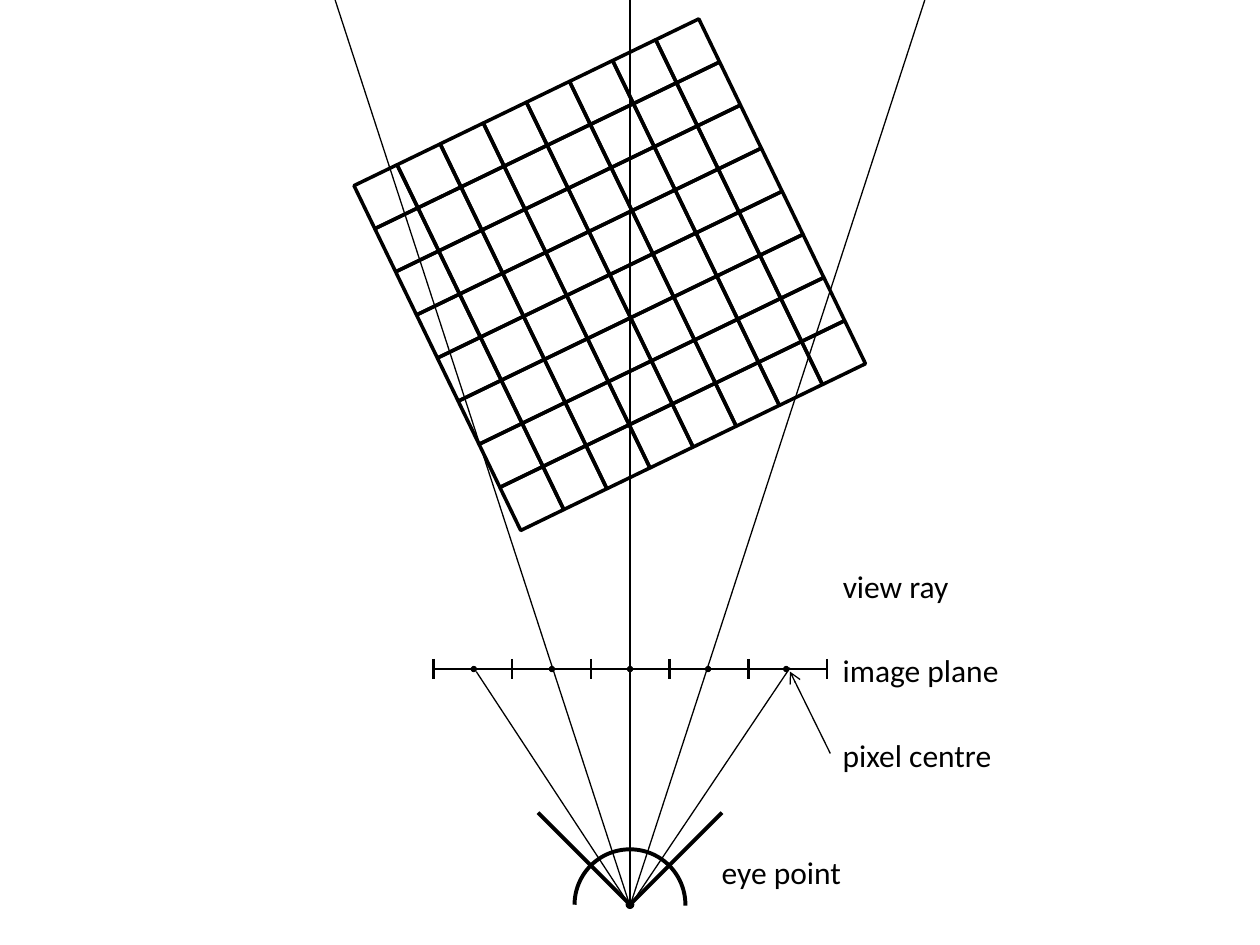
import math
import pptx
import pptx.util
import pptx.dml.color
import pptx.enum.shapes
import pptx.enum.text
import pptx.oxml
import pptx.oxml.ns
from lxml import etree

Inches = pptx.util.Inches
Pt = pptx.util.Pt
SHAPE = pptx.enum.shapes.MSO_SHAPE
STRAIGHT = pptx.enum.shapes.MSO_CONNECTOR.STRAIGHT
BLACK = "000000"


def color(value):
    return pptx.dml.color.RGBColor.from_string(value)


def add_line(shapes, x1, y1, x2, y2, width, arrow=False):
    cn = shapes.add_connector(STRAIGHT, Inches(x1), Inches(y1), Inches(x2), Inches(y2))
    cn.line.color.rgb = color(BLACK)
    cn.line.width = Pt(width)
    if arrow:
        tail = etree.SubElement(cn.line._get_or_add_ln(), pptx.oxml.ns.qn("a:tailEnd"))
        tail.set("type", "arrow")
    etree.SubElement(cn._element.spPr, pptx.oxml.ns.qn("a:effectLst"))


def add_outline(shapes, kind, x, y, size, rotation, width):
    sp = shapes.add_shape(kind, Inches(x), Inches(y), Inches(size), Inches(size))
    sp.shadow.inherit = False
    sp.rotation = rotation
    sp.fill.background()
    sp.line.color.rgb = color(BLACK)
    sp.line.width = Pt(width)
    return sp


def add_dot(shapes, cx, cy, size):
    sp = shapes.add_shape(SHAPE.OVAL, Inches(cx - size / 2), Inches(cy - size / 2),
                          Inches(size), Inches(size))
    sp.shadow.inherit = False
    sp.fill.solid()
    sp.fill.fore_color.rgb = color(BLACK)
    sp.line.fill.background()


def add_label(shapes, text, x, y, width):
    tb = shapes.add_textbox(Inches(x), Inches(y), Inches(width), Inches(0.4))
    tf = tb.text_frame
    tf.word_wrap = False
    tf.auto_size = pptx.enum.text.MSO_AUTO_SIZE.SHAPE_TO_FIT_TEXT
    p = tf.paragraphs[0]
    p.text = text
    p.font.name = "Calibri"
    p.font.size = Pt(18)
    p.font.color.rgb = color(BLACK)


def add_voxel_grid(s, cx, cy, cell, count, rotation):
    shapes = s.shapes.add_group_shape().shapes
    dx = cell * math.cos(math.radians(rotation))
    dy = cell * math.sin(math.radians(rotation))
    middle = (count - 1) / 2
    for row in range(count):
        for col in range(count):
            u, v = col - middle, row - middle
            x = cx + u * dx - v * dy
            y = cy + u * dy + v * dx
            add_outline(shapes, SHAPE.RECTANGLE, x - cell / 2, y - cell / 2,
                        cell, rotation, 2)


def add_eye(s, cx, cy):
    shapes = s.shapes.add_group_shape().shapes
    arc = add_outline(shapes, SHAPE.ARC, cx - 0.44, cy - 0.44, 0.88, 270, 2.25)
    arc.adjustments[0] = 162
    arc.adjustments[1] = 54.63
    add_dot(shapes, cx, cy, 0.07)
    for side in (-1, 1):
        add_line(shapes, cx + side * 0.73, cy - 0.73, cx, cy, 2.25)


def add_view_rays(s, cx, cy):
    for x, y in ((3.78, 5.33), (2.66, 0), (5, 0), (7.34, 0), (6.27, 5.3)):
        add_line(s.shapes, cx, cy, x, y, 0.75)


def add_image_plane(s, x, y, pixel, count):
    for i in range(count + 1):
        left = x + i * pixel
        add_line(s.shapes, left, y - 0.08, left, y + 0.08, 1.5)
        if i < count:
            add_line(s.shapes, left, y, left + pixel, y, 1.5)
            add_dot(s.shapes, 5 + (i - count // 2) * 0.62, y, 0.05)


def add_labels(s, x, y):
    for i, (text, width) in enumerate((("view ray", 1.05), ("image plane", 1.46),
                                       ("pixel centre", 1.4))):
        add_label(s.shapes, text, x, y + i * 0.67, width)
    add_line(s.shapes, x, y + 1.53, x - 0.32, y + 0.88, 0.75, arrow=True)
    add_label(s.shapes, "eye point", x - 0.96, y + 2.27, 1.16)


prs = pptx.Presentation()
prs.slide_width = Inches(10)
prs.slide_height = Inches(7.5)
s = prs.slides.add_slide(prs.slide_layouts[6])
add_voxel_grid(s, 4.84, 2.18, 0.38, 8, 334.2)
add_eye(s, 5, 7.18)
add_view_rays(s, 5, 7.19)
add_image_plane(s, 3.44, 5.31, 0.625, 5)
add_labels(s, 6.59, 4.45)
prs.save("out.pptx")
